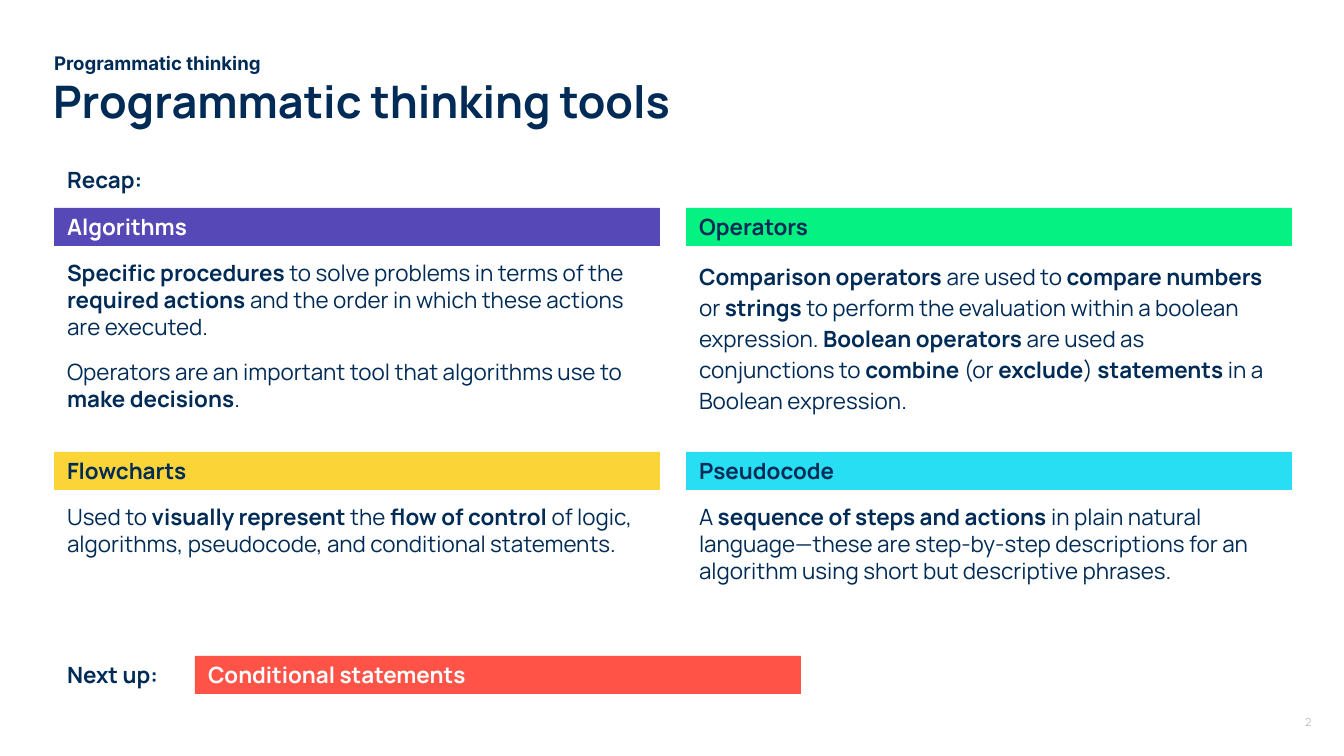
from dataclasses import dataclass

from pptx import Presentation
from pptx import util as u
from pptx.dml.color import RGBColor
from pptx.enum import shapes, text


@dataclass(frozen=True)
class Theme:
    font: str = "Manrope"
    tag_font: str = "Inter"
    navy: str = "002B56"
    white: str = "FFFFFF"
    grey: str = "BABEC7"
    purple: str = "5648B7"
    green: str = "05F283"
    yellow: str = "FBD437"
    cyan: str = "27DEF2"
    red: str = "FF5347"
    title: int = 24
    body: int = 12
    tag: int = 10
    page: int = 6


T = Theme()

# Double asterisks enclose bold words.
TITLE = "**Programmatic thinking tools**"
TAG = "**Programmatic thinking**"
RECAP = "**Recap:**"
NEXT = "**Next up:**"
TOPIC = "**Conditional statements**"
PAGE = "2"

# Name, bar colour, label colour, line spacing, paragraphs; row by row
CARDS = [
    ("**Algorithms**", T.purple, T.white, 1, [
        "**Specific procedures** to solve problems in terms of the "
        "**required actions** and the order in which these actions "
        "are executed.",
        "Operators are an important tool that algorithms use to "
        "**make decisions**."]),
    ("**Operators**", T.green, T.navy, 1.15, [
        "**Comparison operators** are used to **compare numbers** or "
        "**strings** to perform the evaluation within a boolean expression. "
        "**Boolean operators** are used as conjunctions to **combine** "
        "(or **exclude**) **statements** in a Boolean expression."]),
    ("**Flowcharts**", T.yellow, T.navy, 1, [
        "Used to **visually represent** the **flow of control** of logic, "
        "algorithms, pseudocode, and conditional statements."]),
    ("**Pseudocode**", T.cyan, T.navy, 1, [
        "A **sequence of steps and actions** in plain natural "
        "language—these are step-by-step descriptions for an algorithm "
        "using short but descriptive phrases."]),
]

# Layout in px
WIDE, HIGH = 1344, 756
LEFT, CARD_W, GAP = 54, 606, 26
BAR_H, PAD = 38, 13
ROWS = [(208, 181), (452, 109)]  # bar top, body height
NEXT_X, NEXT_Y = 195, 656
LABEL_W, LABEL_H = 232, 54


def px(n):
    return u.Emu(round(n * 914400 * 10 / WIDE))


def place(shape, left, top, width, height):
    shape.left, shape.top = px(left), px(top)
    shape.width, shape.height = px(width), px(height)


def write(shape, lines, size=T.body, color=T.navy, font=T.font,
          pad=(PAD, PAD), anchor=text.MSO_ANCHOR.TOP, space=1):
    """Fill a shape with marked-up lines; pad is (sides, top and bottom)."""
    frame = shape.text_frame
    frame.word_wrap = True
    frame.auto_size = text.MSO_AUTO_SIZE.NONE
    frame.vertical_anchor = anchor
    frame.margin_left = frame.margin_right = px(pad[0])
    frame.margin_top = frame.margin_bottom = px(pad[1])
    for i, line in enumerate(lines):
        para = frame.add_paragraph() if i else frame.paragraphs[0]
        para.alignment = text.PP_ALIGN.LEFT
        para.line_spacing = space
        para.space_before = u.Pt(10 if i else 0)
        for j, part in enumerate(line.split("**")):
            if part:
                run = para.add_run()
                run.text = part
                run.font.name = font
                run.font.size = u.Pt(size)
                run.font.bold = j % 2 == 1
                run.font.color.rgb = RGBColor.from_string(color)


def add_text(slide, box, lines, **style):
    write(slide.shapes.add_textbox(*map(px, box)), lines, **style)


def add_bar(slide, left, top, label, fill, color):
    bar = slide.shapes.add_shape(
        shapes.MSO_SHAPE.RECTANGLE, *map(px, (left, top, CARD_W, BAR_H)))
    bar.shadow.inherit = False
    bar.fill.solid()
    bar.fill.fore_color.rgb = RGBColor.from_string(fill)
    bar.line.fill.background()
    write(bar, [label], color=color, pad=(PAD, 0),
          anchor=text.MSO_ANCHOR.MIDDLE)


def main():
    deck = Presentation()
    deck.slide_width, deck.slide_height = px(WIDE), px(HIGH)
    slide = deck.slides.add_slide(deck.slide_layouts.get_by_name("Title Only"))

    title = slide.shapes.title
    place(title, LEFT - 1, 74, 1238, 52)
    write(title, [TITLE], size=T.title, pad=(0, 0))
    add_text(slide, (LEFT, 52, 1238, 22), [TAG], size=T.tag,
             font=T.tag_font, pad=(0, 0))
    add_text(slide, (1292, 702, 52, 38), [PAGE], size=T.page, color=T.grey)

    for i, (name, fill, color, space, lines) in enumerate(CARDS):
        row, col = divmod(i, 2)
        left = LEFT + col * (CARD_W + GAP)
        top, height = ROWS[row]
        add_bar(slide, left, top, name, fill, color)
        add_text(slide, (left, top + BAR_H, CARD_W, height), lines,
                 space=space)

    add_text(slide, (LEFT, 153, LABEL_W, LABEL_H), [RECAP])
    add_text(slide, (LEFT, 648, LABEL_W, LABEL_H), [NEXT])
    add_bar(slide, NEXT_X, NEXT_Y, TOPIC, T.red, T.white)
    deck.save("out.pptx")


if __name__ == "__main__":
    main()
